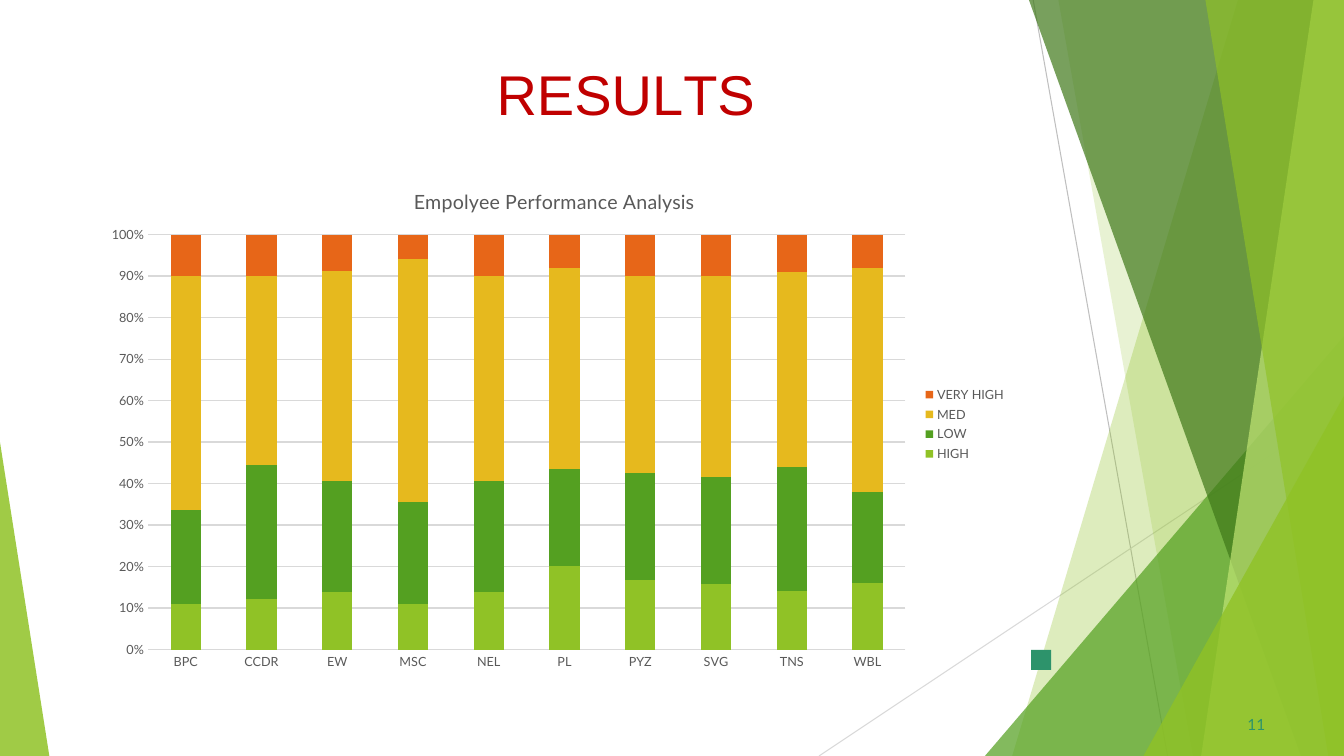
from lxml import etree
from pptx import Presentation
from pptx.chart.data import CategoryChartData
from pptx.dml.color import RGBColor
from pptx.enum.chart import XL_CHART_TYPE as CT, XL_LEGEND_POSITION as LP, XL_TICK_MARK as TM
from pptx.enum.shapes import MSO_CONNECTOR as CONN, MSO_SHAPE as SHAPE
from pptx.oxml.ns import qn
from pptx.util import Pt

PX = 9525
W, H = 1280, 720
GREEN, TEAL, GREY, GRID = "90C226", "2D936B", "595959", "D9D9D9"
SHARDS = [
    ([(1179, 0), (W, 0), (W, H), (964, H)], GREEN, 30),
    ([(1008, 0), (W, 0), (W, H), (1136, H)], GREEN, 20),
    (((938, 320, 342, 400), 1), "54A021", 72),
    ([(980, 0), (W, 0), (W, H), (1239, H)], "3F7819", 70),
    ([(1251, 0), (W, 0), (W, H), (1144, H)], "C0E474", 70),
    ([(1148, 0), (W, 0), (W, H), (1265, H)], GREEN, 65),
    (((1089, 377, 191, 343), 1), GREEN, 80),
    (((0, 421, 47, 299), 0), GREEN, 85),
]
UNITS = ["BPC", "CCDR", "EW", "MSC", "NEL", "PL", "PYZ", "SVG", "TNS", "WBL"]
RATINGS = [
    ("HIGH", GREEN, [11, 12, 14, 11, 14, 20, 17, 16, 14, 16]),
    ("LOW", "54A021", [23, 32, 27, 25, 27, 23, 26, 26, 30, 22]),
    ("MED", "E6B91E", [57, 45, 51, 59, 50, 48, 48, 49, 47, 54]),
    ("VERY HIGH", "E76618", [10, 10, 9, 6, 10, 8, 10, 10, 9, 8]),
]


def rgb(color):
    return RGBColor.from_string(color)


def px(*lengths):
    return [n * PX for n in lengths]


class Deck:
    """Holds the style and the current slide and draws each kind of element."""

    def __init__(self, font):
        self.font = font
        self.prs = Presentation()
        self.prs.slide_width, self.prs.slide_height = px(W, H)
        self.s = self.prs.slides.add_slide(self.prs.slide_layouts[6])

    def paint(self, sp, color, alpha=100):
        sp.shadow.inherit = False
        sp.fill.solid()
        sp.fill.fore_color.rgb = rgb(color)
        sp.line.fill.background()
        if alpha < 100:
            clr = sp._element.spPr.find(qn("a:solidFill"))[0]
            etree.SubElement(clr, qn("a:alpha"), val=str(alpha * 1000))

    def line(self, start, end, color):
        c = self.s.shapes.add_connector(CONN.STRAIGHT, *px(*start, *end))
        c.line.color.rgb = rgb(color)
        c.line.width = Pt(0.75)
        etree.SubElement(c._element.spPr, qn("a:effectLst"))

    def polygon(self, points, color, alpha):
        fb = self.s.shapes.build_freeform(*points[0], scale=PX)
        fb.add_line_segments(points[1:], close=True)
        self.paint(fb.convert_to_shape(), color, alpha)

    def triangle(self, box, apex, color, alpha):
        sp = self.s.shapes.add_shape(SHAPE.ISOSCELES_TRIANGLE, *px(*box))
        sp.adjustments[0] = apex
        self.paint(sp, color, alpha)

    def square(self, box, color):
        self.paint(self.s.shapes.add_shape(SHAPE.RECTANGLE, *px(*box)), color)

    def text(self, box, runs, size, color, font=None, indent=0, before=0):
        tf = self.s.shapes.add_textbox(*px(*box)).text_frame
        tf.word_wrap = True
        tf.margin_left = tf.margin_right = tf.margin_bottom = 0
        tf.margin_top = PX
        p = tf.paragraphs[0]
        p.space_before = Pt(before)
        p._p.get_or_add_pPr().set("marL", str(indent * PX))
        for words, spacing in runs:
            r = p.add_run()
            r.text = words
            self.style(r.font, size, color, font)
            r._r.get_or_add_rPr().set("spc", str(spacing))

    def style(self, f, size, color, font=None):
        f.size, f.name, f.bold = Pt(size), font or self.font, False
        f.color.rgb = rgb(color)

    def chart(self, box, title, cats, series, plot_area):
        data = CategoryChartData()
        data.categories = cats
        for name, _, values in series:
            data.add_series(name, values)
        ch = self.s.shapes.add_chart(CT.COLUMN_STACKED_100, *px(*box), data).chart
        self.style(ch.font, 10, "000000")
        ch.has_title = True
        r = ch.chart_title.text_frame.paragraphs[0].add_run()
        r.text = title
        self.style(r.font, 14, GREY)
        ch.chart_title.include_in_layout = False

        plot = ch.plots[0]
        plot.gap_width, plot.overlap, plot.vary_by_categories = 150, 100, False
        for ser, (_, color, _) in zip(plot.series, series):
            ser.format.fill.solid()
            ser.format.fill.fore_color.rgb = rgb(color)

        for axis in (ch.category_axis, ch.value_axis):
            axis.major_tick_mark = axis.minor_tick_mark = TM.NONE
            axis.format.line.fill.background()
            self.style(axis.tick_labels.font, 9, GREY)
        val = ch.value_axis
        val.minimum_scale, val.maximum_scale, val.major_unit = 0, 1, 0.1
        val.tick_labels.number_format = "0%"
        val.tick_labels.number_format_is_linked = False
        val.major_gridlines.format.line.color.rgb = rgb(GRID)
        val.major_gridlines.format.line.width = Pt(0.75)

        ch.has_legend = True
        ch.legend.position = LP.RIGHT
        ch.legend.include_in_layout = False
        self.style(ch.legend.font, 9, GREY)
        self.place_plot(ch, plot_area)

    def place_plot(self, ch, plot_area):
        area = ch._chartSpace.find(".//" + qn("c:plotArea"))
        for old in area.findall(qn("c:layout")):
            area.remove(old)
        layout = etree.Element(qn("c:layout"))
        manual = etree.SubElement(layout, qn("c:manualLayout"))
        rules = [("layoutTarget", "inner"), ("xMode", "edge"), ("yMode", "edge")]
        for tag, value in rules + list(zip("xywh", plot_area)):
            etree.SubElement(manual, qn("c:" + tag), val=str(value))
        area.insert(0, layout)


def main():
    d = Deck("Lato")
    d.line((984, 0), (1112, H), "BFBFBF")
    d.line((W, 387), (780, H), GRID)
    for outline, color, alpha in SHARDS:
        if isinstance(outline, list):
            d.polygon(outline, color, alpha)
        else:
            d.triangle(*outline, color, alpha)
    d.square((982, 619, 19, 19), TEAL)
    title = [("R", 0), ("E", -40), ("S", 10), ("U", -30), ("L", -400), ("TS", 0)]
    d.text((472, 56, 328, 66), title, 40, "C00000", "Arial", indent=1, before=1.1)
    d.text((1184, 680, 24, 20), [("11", 10)], 11, TEAL, indent=4, before=0.6)
    d.chart((88, 160, 880, 488), "Empolyee Performance Analysis", UNITS, RATINGS,
            (0.06, 0.13, 0.82, 0.81))
    d.prs.save("out.pptx")


if __name__ == "__main__":
    main()
